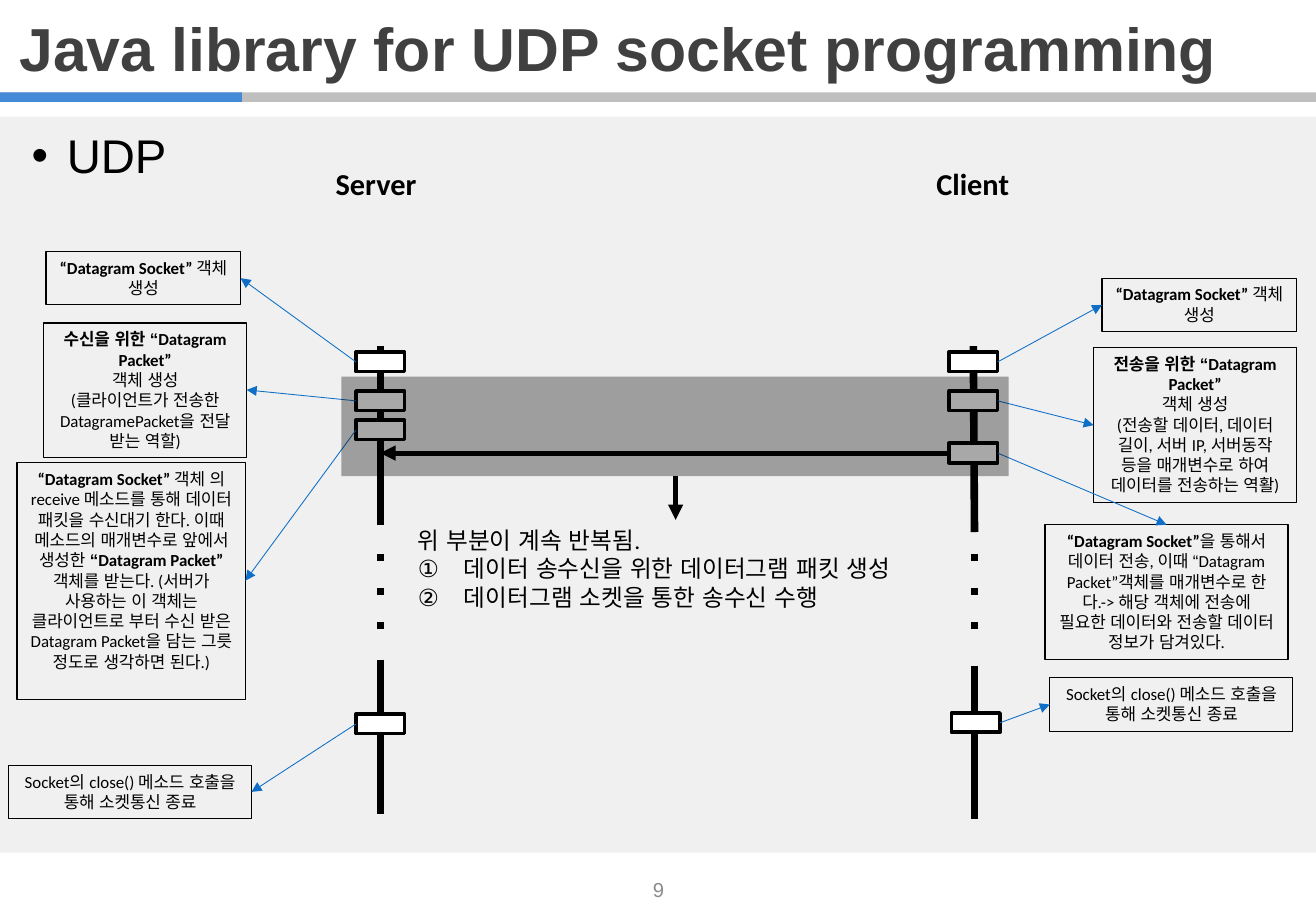
"""Build a slide that explains a UDP socket exchange between server and client."""
from dataclasses import dataclass

from lxml import etree
from pptx import Presentation
from pptx.dml.color import RGBColor
from pptx.enum.shapes import MSO_CONNECTOR as Connector, MSO_SHAPE as Shape
from pptx.enum.text import MSO_ANCHOR as Anchor, MSO_AUTO_SIZE as Fit, PP_ALIGN as Align
from pptx.oxml.ns import qn
from pptx.util import Pt


@dataclass(frozen=True)
class Theme:
    """Colours, fonts and type sizes of the slide."""
    ink: str = "000000"
    paper: str = "FFFFFF"
    heading: str = "404040"
    panel: str = "F0F0F0"
    bar: str = "BFBFBF"
    accent: str = "448AD7"
    pointer: str = "0F6FC6"
    footer: str = "8C8C8C"
    display: str = "Arial"
    text: str = "Calibri"
    korean: str = "Arial"
    title_size: int = 36
    list_size: int = 28
    label_size: int = 18
    note_size: int = 14
    footer_size: int = 12
    callout_size: int = 10


T = Theme()


def px(n):
    """Turn px into EMU, with 100 px to the inch."""
    return round(n * 9144)


def write(p, text, size, color=T.ink, font=T.text, bold=False):
    """Add text to a paragraph; parts between asterisks are bold."""
    for i, part in enumerate(text.split("*")):
        if part:
            r = p.add_run()
            r.text = part
            r.font.size, r.font.name = Pt(size), font
            r.font.bold = bold or i % 2 == 1
            r.font.color.rgb = RGBColor.from_string(color)
            etree.SubElement(r._r.get_or_add_rPr(), qn("a:ea"), typeface=T.korean)


def bullet(p, tag, indent, **attrs):
    """Give a paragraph a hanging bullet or number."""
    pPr = p._p.get_or_add_pPr()
    pPr.set("marL", str(px(indent)))
    pPr.set("indent", str(-px(indent)))
    etree.SubElement(pPr, qn(tag), **attrs)


class Board:
    """Draw themed elements on the current slide."""

    def __init__(self, prs):
        self.s = prs.slides.add_slide(prs.slide_layouts[1])

    def placeholder(self, idx, x, y, w, h):
        """Place a template placeholder on top and return its text frame."""
        sp = self.s.placeholders[idx]
        sp.left, sp.top, sp.width, sp.height = map(px, (x, y, w, h))
        sp.element.getparent().append(sp.element)
        tf = sp.text_frame
        tf.auto_size, tf.vertical_anchor = Fit.NONE, Anchor.TOP
        tf.paragraphs[0].alignment = Align.LEFT
        tf.paragraphs[0].space_before = Pt(0)
        return tf

    def rect(self, x, y, w, h, fill=None, line=None, weight=0.75, alpha=None):
        """Draw a rectangle."""
        sp = self.s.shapes.add_shape(Shape.RECTANGLE, *map(px, (x, y, w, h)))
        sp.shadow.inherit = False
        if fill:
            sp.fill.solid()
            sp.fill.fore_color.rgb = RGBColor.from_string(fill)
        else:
            sp.fill.background()
        if line:
            sp.line.color.rgb = RGBColor.from_string(line)
            sp.line.width = Pt(weight)
        else:
            sp.line.fill.background()
        if alpha:
            clr = sp.element.spPr.find(".//" + qn("a:srgbClr"))
            etree.SubElement(clr, qn("a:alpha"), val=str(alpha * 1000))
        return sp

    def line(self, x1, y1, x2, y2, color=T.ink, weight=4.5, arrow=False):
        """Draw a straight line or arrow."""
        c = self.s.shapes.add_connector(Connector.STRAIGHT, *map(px, (x1, y1, x2, y2)))
        c.line.color.rgb = RGBColor.from_string(color)
        c.line.width = Pt(weight)
        spPr = c.element.spPr
        if arrow:
            etree.SubElement(spPr.find(qn("a:ln")), qn("a:tailEnd"), type="triangle")
        etree.SubElement(spPr, qn("a:effectLst"))

    def fill_text(self, sp, paragraphs, align, anchor=Anchor.TOP, fit=Fit.SHAPE_TO_FIT_TEXT, **fmt):
        """Write paragraphs into a shape and return its text frame."""
        tf = sp.text_frame
        tf.word_wrap, tf.auto_size, tf.vertical_anchor = True, fit, anchor
        for i, text in enumerate(paragraphs):
            p = tf.add_paragraph() if i else tf.paragraphs[0]
            p.alignment = align
            write(p, text, **fmt)
        return tf

    def text(self, x, y, w, h, paragraphs, align=Align.CENTER, **fmt):
        """Add a text box and return its text frame."""
        sp = self.s.shapes.add_textbox(*map(px, (x, y, w, h)))
        return self.fill_text(sp, paragraphs, align, **fmt)

    def step(self, node, box, side, paragraphs):
        """Draw a step on a timeline with its callout and pointer."""
        (nx, ny), (x, y, w, h) = node, box
        self.rect(nx, ny, 40, 16, T.paper, T.ink, 2.25)
        sp = self.rect(*box, line=T.ink)
        self.fill_text(sp, paragraphs, Align.CENTER, size=T.callout_size)
        ends = {"right": (x + w, y + h // 2), "left": (x, y + h // 2), "top": (x + w // 2, y)}
        start = nx if side == "right" else nx + 40
        self.line(start, ny + 8, *ends[side], T.pointer, 0.5, arrow=True)


SOCKET = ["*“Datagram Socket”* 객체 생성"]
CLOSE = ["Socket의 close() 메소드 호출을 통해 소켓통신 종료"]
STEPS = [
    ((293, 290), (38, 207, 160, 44), "right", SOCKET),
    ((781, 290), (907, 229, 160, 44), "left", SOCKET),
    ((293, 322), (36, 266, 167, 111), "right",
     ["*수신을 위한 “Datagram Packet”*", "객체 생성",
      "(클라이언트가 전송한 DatagramePacket을 전달 받는 역할)"]),
    ((293, 346), (14, 381, 188, 195), "right",
     ["*“Datagram Socket” *객체 의 receive 메소드를 통해 데이터 패킷을 수신대기 한다. "
      "이때 메소드의 매개변수로 앞에서 생성한 *“Datagram Packet” *객체를 받는다. "
      "(서버가 사용하는 이 객체는 클라이언트로 부터 수신 받은 Datagram Packet을 "
      "담는 그릇 정도로 생각하면 된다.)"]),
    ((781, 322), (900, 286, 167, 128), "left",
     ["*전송을 위한 “Datagram Packet”*", "객체 생성",
      "(전송할 데이터, 데이터 길이, 서버 IP, 서버동작 등을 매개변수로 하여 "
      "데이터를 전송하는 역활)"]),
    ((781, 365), (860, 432, 200, 111), "top",
     ["*“Datagram Socket”*을 통해서 데이터 전송, 이때 “Datagram Packet”객체를 "
      "매개변수로 한다.-> 해당 객체에 전송에 필요한 데이터와 전송할 데이터 정보가 담겨있다."]),
    ((293, 588), (7, 630, 200, 44), "right", CLOSE),
    ((783, 587), (864, 558, 200, 44), "left", CLOSE),
]
TIMELINES = [("Server", 217, (313, 313), (285, 432), (543, 670)),
             ("Client", 708, (801, 802), (285, 438), (548, 674))]


def main():
    """Build and save the slide."""
    prs = Presentation()
    prs.slide_width, prs.slide_height = px(1083), px(750)
    b = Board(prs)

    b.rect(0, 96, 1083, 606, T.panel)
    b.rect(0, 76, 1083, 8, T.bar)
    b.rect(0, 76, 199, 8, T.accent)

    tf = b.placeholder(0, 16, 16, 1060, 55)
    tf.margin_left = tf.margin_right = tf.margin_top = tf.margin_bottom = 0
    p = tf.paragraphs[0]
    p.line_spacing = 0.9
    write(p, "Java library for UDP socket programming", T.title_size, T.heading, T.display, bold=True)

    p = b.placeholder(1, 16, 99, 1050, 583).paragraphs[0]
    bullet(p, "a:buChar", 29, char="•")
    write(p, "UDP", T.list_size, font=T.display)
    b.text(420, 715, 244, 35, ["9"], anchor=Anchor.MIDDLE, fit=Fit.NONE,
           size=T.footer_size, color=T.footer, font=T.display)

    for name, label_x, (x1, x2), (top, pause), (resume, end) in TIMELINES:
        b.text(label_x, 131, 185, 40, [name], size=T.label_size, bold=True)
        b.line(x1, top, x2, pause)
        for y in range(456, 513, 28):
            b.line(x2, y, x2, y + 6)
        b.line(x2, resume, x2, end)

    b.line(781, 373, 313, 373, weight=3, arrow=True)
    for step in STEPS:
        b.step(*step)

    tf = b.text(334, 428, 444, 81,
                ["위 부분이 계속 반복됨.", "데이터 송수신을 위한 데이터그램 패킷 생성",
                 "데이터그램 소켓을 통한 송수신 수행"], Align.LEFT, size=T.note_size)
    for p in tf.paragraphs[1:]:
        bullet(p, "a:buAutoNum", 38, type="circleNumDbPlain")
    b.rect(281, 310, 549, 82, T.ink, alpha=34)
    b.line(556, 392, 556, 428, weight=3, arrow=True)

    prs.save("out.pptx")


if __name__ == "__main__":
    main()
